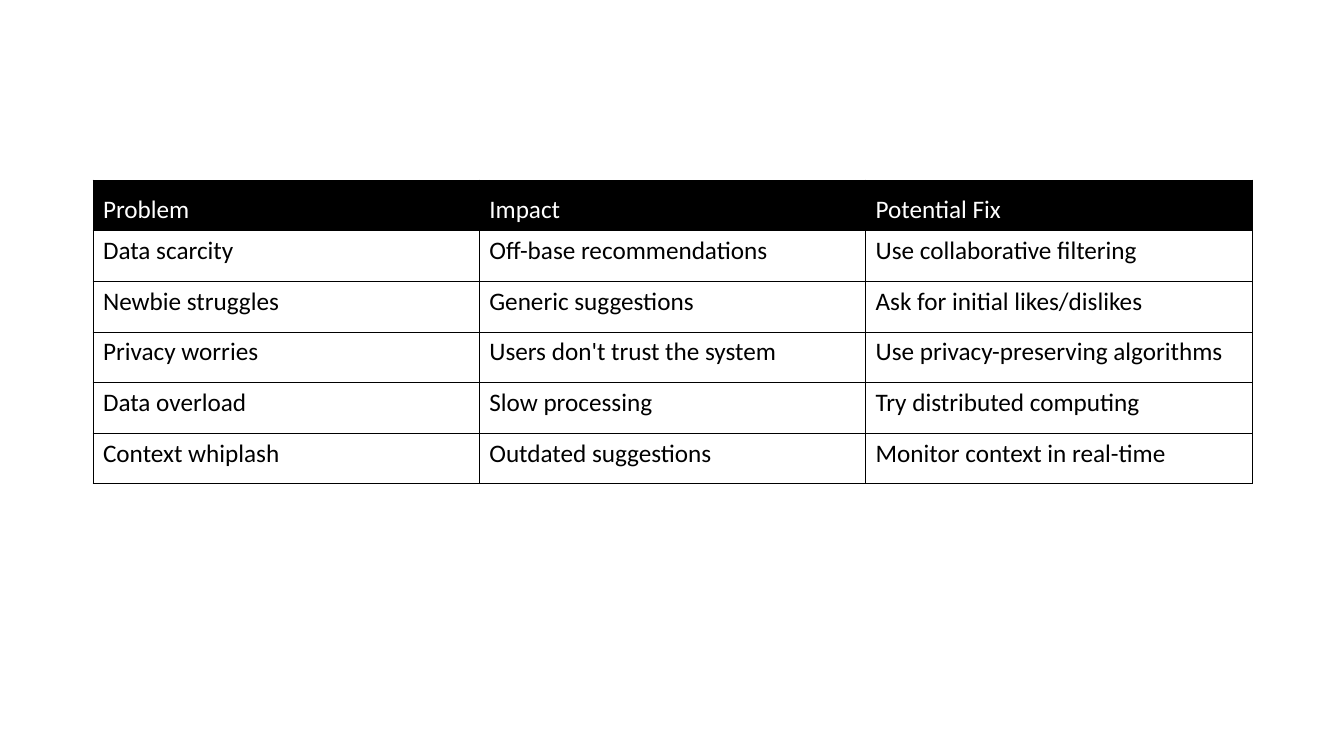
from lxml.etree import SubElement
from pptx import Presentation
from pptx.dml.color import RGBColor
from pptx.enum.text import MSO_ANCHOR as Anchor
from pptx.oxml.ns import qn
from pptx.util import Emu, Pt

EMU_PER_INCH = 914400
PX_PER_INCH = 100.8
SLIDE_SIZE = (1344, 756)
TABLE_BOX = (93, 180, 1159, 304)
BORDER_WIDTH = Pt(0.6)
COLOURS = {"ink": "000000", "paper": "FFFFFF"}
FONT_FORMAT = {"name": "Calibri", "size": Pt(18), "bold": False}
HEADINGS = ("Problem", "Impact", "Potential Fix")
PROBLEMS = (
    ("Data scarcity", "Off-base recommendations", "Use collaborative filtering"),
    ("Newbie struggles", "Generic suggestions", "Ask for initial likes/dislikes"),
    ("Privacy worries", "Users don't trust the system", "Use privacy-preserving algorithms"),
    ("Data overload", "Slow processing", "Try distributed computing"),
    ("Context whiplash", "Outdated suggestions", "Monitor context in real-time"),
)


def px(length):
    return Emu(round(length * EMU_PER_INCH / PX_PER_INCH))


def rgb(name):
    return RGBColor.from_string(COLOURS[name])


def add_borders(cell):
    properties = cell._tc.get_or_add_tcPr()
    for side in ("lnL", "lnR", "lnT", "lnB"):
        border = SubElement(properties, qn(f"a:{side}"), w=str(int(BORDER_WIDTH)))
        fill = SubElement(border, qn("a:solidFill"))
        SubElement(fill, qn("a:srgbClr"), val=COLOURS["ink"])


def fill_cell(cell, wording, text_colour, background, anchor):
    add_borders(cell)
    cell.fill.solid()
    cell.fill.fore_color.rgb = rgb(background)
    cell.vertical_anchor = anchor
    cell.text = wording
    font = cell.text_frame.paragraphs[0].runs[0].font
    for attribute, value in FONT_FORMAT.items():
        setattr(font, attribute, value)
    font.color.rgb = rgb(text_colour)


def add_problem_table(slide, box):
    entries = (HEADINGS, *PROBLEMS)
    left, top, width, height = map(px, box)
    table = slide.shapes.add_table(
        len(entries), len(HEADINGS), left, top, width, height
    ).table
    table.first_row = True
    table.horz_banding = False
    for column in table.columns:
        column.width = Emu(width // len(HEADINGS))
    for index, (row, wordings) in enumerate(zip(table.rows, entries)):
        row.height = Emu(height // len(entries))
        style = ("ink", "paper", Anchor.TOP) if index else ("paper", "ink", Anchor.BOTTOM)
        for cell, wording in zip(row.cells, wordings):
            fill_cell(cell, wording, *style)


def main():
    presentation = Presentation()
    presentation.slide_width, presentation.slide_height = map(px, SLIDE_SIZE)
    slide = presentation.slides.add_slide(presentation.slide_layouts[6])
    slide.background.fill.solid()
    slide.background.fill.fore_color.rgb = rgb("paper")
    add_problem_table(slide, TABLE_BOX)
    presentation.save("out.pptx")


if __name__ == "__main__":
    main()
